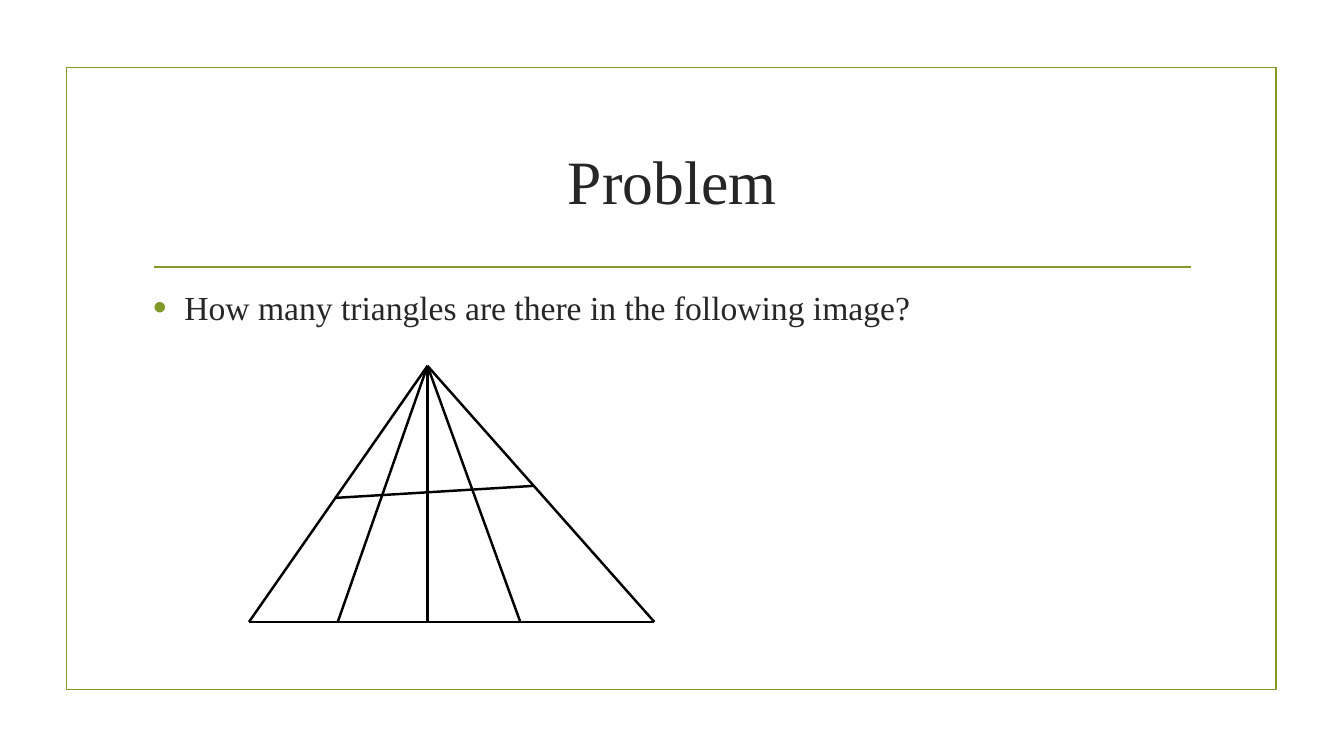
import pptx
import pptx.dml.color
import pptx.enum.shapes
import pptx.enum.text
import pptx.oxml
import pptx.oxml.ns
import pptx.util

Inches = pptx.util.Inches
Pt = pptx.util.Pt
RGBColor = pptx.dml.color.RGBColor

OLIVE = RGBColor(0x83, 0x99, 0x2A)
CHARCOAL = RGBColor(0x26, 0x26, 0x26)
BLACK = RGBColor(0x00, 0x00, 0x00)

TITLE_FONT = {"name": "Times New Roman", "size": Pt(44)}
BODY_FONT = {"name": "Times New Roman", "size": Pt(24)}


def format_frame(text_frame, anchor):
    settings = {
        "word_wrap": True,
        "auto_size": pptx.enum.text.MSO_AUTO_SIZE.NONE,
        "vertical_anchor": anchor,
        "margin_left": Inches(0.1),
        "margin_right": Inches(0.1),
        "margin_top": Inches(0.05),
        "margin_bottom": Inches(0.05),
    }
    for name, value in settings.items():
        setattr(text_frame, name, value)


def format_font(font, settings):
    for name, value in settings.items():
        setattr(font, name, value)
    font.color.rgb = CHARCOAL


def add_line(slide, start, end, color, width):
    points = [Inches(value) for value in (*start, *end)]
    line = slide.shapes.add_connector(
        pptx.enum.shapes.MSO_CONNECTOR.STRAIGHT, *points)
    line.line.color.rgb = color
    line.line.width = Pt(width)
    properties = line._element.spPr
    properties.append(properties.makeelement(pptx.oxml.ns.qn("a:effectLst"), {}))


def add_frame(slide, left, top, width, height):
    # Border
    border = slide.shapes.add_shape(
        pptx.enum.shapes.MSO_SHAPE.RECTANGLE,
        Inches(left), Inches(top), Inches(width), Inches(height))
    border.shadow.inherit = False
    border.fill.background()
    border.line.color.rgb = OLIVE
    border.line.width = Pt(1.25)

    # Rule below the title
    rule_top = top + 1.98
    add_line(slide, (left + 0.87, rule_top), (left + width - 0.85, rule_top),
             OLIVE, 1.25)


def add_title(slide, left, top, width, height):
    title = slide.shapes.title
    title.left, title.top = Inches(left), Inches(top)
    title.width, title.height = Inches(width), Inches(height)
    title.text_frame.text = "Problem"
    format_frame(title.text_frame, pptx.enum.text.MSO_ANCHOR.MIDDLE)
    paragraph = title.text_frame.paragraphs[0]
    paragraph.alignment = pptx.enum.text.PP_ALIGN.CENTER
    format_font(paragraph.runs[0].font, TITLE_FONT)


def add_question(slide, left, top, width, height):
    box = slide.shapes.add_textbox(
        Inches(left), Inches(top), Inches(width), Inches(height))
    format_frame(box.text_frame, pptx.enum.text.MSO_ANCHOR.TOP)
    paragraph = box.text_frame.paragraphs[0]
    paragraph.space_after = Pt(6)

    # Hanging bullet
    properties = paragraph._p.get_or_add_pPr()
    properties.set("marL", str(Inches(0.31)))
    properties.set("indent", str(Inches(-0.31)))
    namespace = pptx.oxml.ns.nsdecls("a")
    for element in (
        f'<a:buClr {namespace}><a:srgbClr val="{OLIVE}"/></a:buClr>',
        f'<a:buSzPct {namespace} val="115000"/>',
        f'<a:buFont {namespace} typeface="Arial"/>',
        f'<a:buChar {namespace} char="•"/>',
    ):
        properties.append(pptx.oxml.parse_xml(element))

    run = paragraph.add_run()
    run.text = "How many triangles are there in the following image?"
    format_font(run.font, BODY_FONT)


def add_triangle(slide, left, top, width, height):
    bottom = top + height
    apex = (left + 1.77, top)
    segments = [((left, bottom), (left + width, bottom))]

    # Sides and inner lines from the apex to the base
    for offset in (0, 0.88, 1.77, 2.69, width):
        segments.append((apex, (left + offset, bottom)))

    # Slanted crossing line
    segments.append(((left + 0.85, top + 1.31), (left + 2.83, top + 1.19)))

    for start, end in segments:
        add_line(slide, start, end, BLACK, 1.75)


def main():
    presentation = pptx.Presentation()
    presentation.slide_width = Inches(13.33)
    presentation.slide_height = Inches(7.5)
    slide = presentation.slides.add_slide(presentation.slide_layouts[5])

    add_frame(slide, 0.66, 0.67, 12, 6.17)
    add_title(slide, 1.42, 1.07, 10.5, 1.43)
    add_question(slide, 1.42, 2.8, 10.5, 3.63)
    add_triangle(slide, 2.47, 3.63, 4.02, 2.54)

    presentation.save("out.pptx")


if __name__ == "__main__":
    main()
